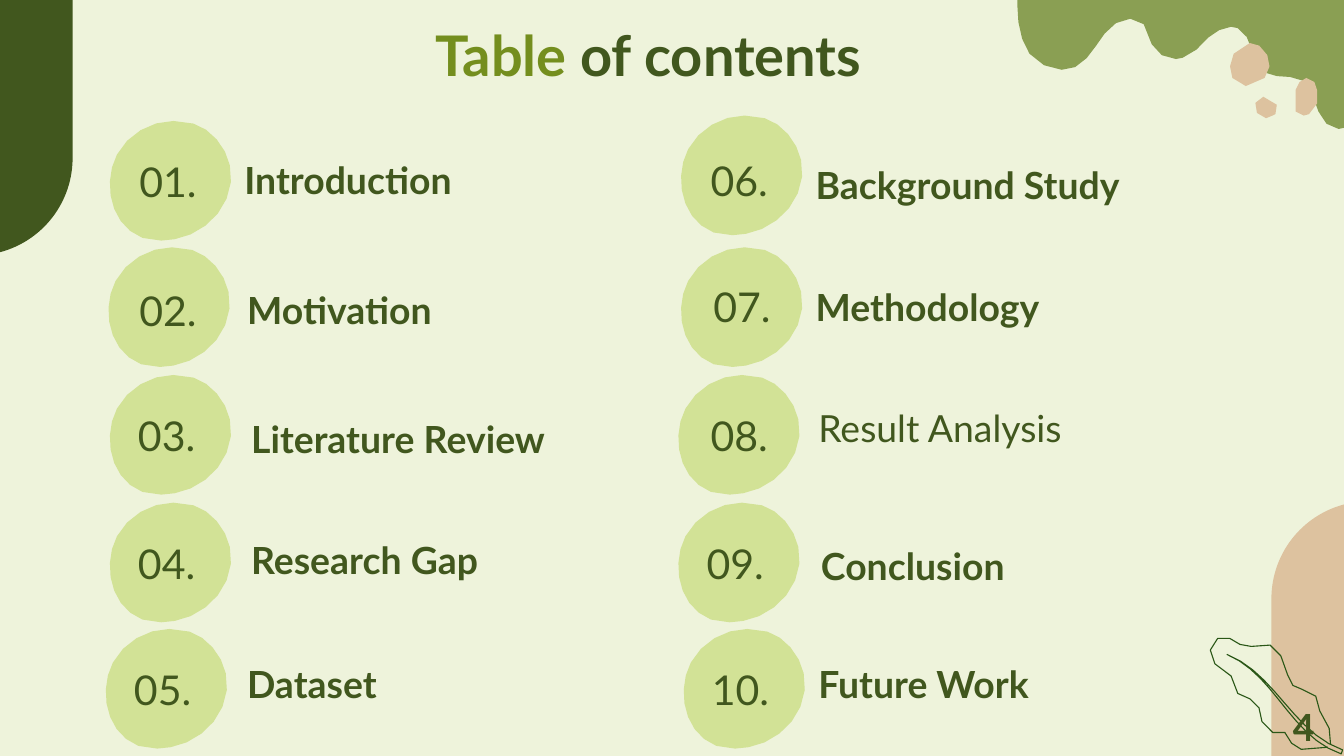
import math

import pptx
import pptx.util
import pptx.dml.color
import pptx.enum.shapes
import pptx.enum.text

RGBColor = pptx.dml.color.RGBColor
ANCHOR = pptx.enum.text.MSO_ANCHOR
ALIGN = pptx.enum.text.PP_ALIGN

CREAM = RGBColor(0xEE, 0xF3, 0xDB)
DARK_GREEN = RGBColor(0x41, 0x57, 0x1E)
TITLE_GREEN = RGBColor(0x74, 0x8E, 0x1E)
OLIVE = RGBColor(0x8A, 0x9F, 0x53)
LIME = RGBColor(0xD2, 0xE2, 0x96)
SAND = RGBColor(0xDD, 0xC2, 0x9F)
LEAF_GREEN = RGBColor(0x2A, 0x57, 0x17)

FONT = "Lato"
EMU_PER_PX = 9144  # 100 px to the inch
CURVE_STEP = 12  # px of curve for each straight piece
ROW_PITCH = 94.5

# Outlines: a start point, then line ends (2 numbers) or Bezier curves (6 numbers).
BLOB = [(53, 0), (36, 0, 19, 10, 11, 25), (0, 46, 6, 78, 30, 87), (34, 88, 39, 89, 44, 89),
        (47, 89, 51, 89, 54, 88), (66, 86, 78, 79, 86, 69), (94, 59, 98, 45, 95, 33),
        (92, 19, 81, 6, 68, 2), (63, 0, 58, 0, 53, 0)]
WAVE = [(0, 0), (0, 4), (0, 16, 2, 30, 9, 40), (15, 47, 24, 52, 33, 52),
        (36, 52, 40, 52, 43, 50), (53, 45, 58, 34, 65, 25), (69, 19, 77, 14, 84, 14),
        (88, 14, 91, 15, 94, 18), (97, 22, 98, 28, 100, 33), (103, 40, 111, 44, 118, 44),
        (120, 44, 122, 44, 123, 43), (131, 41, 136, 34, 142, 28), (147, 24, 153, 20, 159, 20),
        (160, 20, 162, 21, 164, 21), (176, 27, 173, 46, 184, 54), (192, 59, 204, 55, 212, 60),
        (219, 65, 221, 75, 224, 83), (226, 90, 233, 96, 239, 96), (241, 96, 242, 96, 244, 95),
        (244, 0)]
STONES = [
    [(215, 58), (213, 58, 211, 59, 210, 61), (208, 63, 207, 65, 207, 67),
     (206, 72, 204, 79, 207, 83), (209, 85, 211, 86, 213, 86), (214, 86, 216, 86, 217, 85),
     (220, 84, 222, 81, 223, 77), (224, 74, 224, 70, 223, 67), (222, 65, 222, 63, 221, 61),
     (220, 60, 218, 59, 215, 58)],
    [(183, 72), (173, 73, 176, 88, 185, 88), (187, 88, 188, 87, 190, 86),
     (191, 86, 192, 85, 192, 85), (193, 83, 193, 80, 193, 78), (191, 75, 187, 72, 183, 72)],
    [(173, 32), (168, 32, 163, 36, 161, 40), (158, 46, 157, 53, 160, 58),
     (161, 63, 165, 64, 170, 64), (175, 64, 181, 62, 184, 58), (188, 53, 189, 46, 186, 41),
     (184, 38, 182, 36, 180, 34), (178, 34, 177, 33, 173, 32)],
]
LEAF_EDGE = [(91, 81), (92, 77, 92, 73, 90, 69), (89, 64, 84, 61, 83, 56),
             (82, 53, 82, 48, 80, 45), (77, 42, 74, 41, 70, 40), (68, 39, 65, 39, 63, 37),
             (61, 35, 60, 32, 59, 29), (58, 24, 57, 19, 54, 15), (53, 11, 50, 8, 46, 7),
             (41, 5, 37, 7, 32, 8), (25, 9, 22, 5, 16, 2), (13, 0, 10, 0, 7, 2),
             (0, 6, 0, 15, 5, 21), (8, 25, 14, 26, 17, 30), (19, 34, 19, 39, 22, 43),
             (25, 47, 27, 47, 31, 47), (39, 48, 38, 58, 40, 64), (41, 68, 44, 71, 48, 72),
             (51, 72, 54, 71, 57, 72), (60, 73, 60, 77, 62, 80), (67, 89, 80, 82, 89, 83)]
LEAF_VEIN = [(14, 14), (50, 29, 61, 75, 99, 88), (101, 89, 102, 86, 100, 85),
             (63, 72, 50, 28, 14, 14)]

# Number, label, blob shift in its row, number offset, label box (both from the blob)
LEFT_ENTRIES = [
    ("01.", "Introduction", (0, 0), (11, 16), (96, 12, 331, 58)),
    ("02.", "Motivation", (-1, 0), (12, 18), (99, 15, 331, 58)),
    ("03.", "Literature Review", (0, 0), (10, 16), (101, 16, 331, 58)),
    ("04.", "Research Gap", (0, 0), (10, 16), (101, 16, 287, 46)),
    ("05.", "Dataset", (-3, 0), (10, 16), (101, 14, 276, 46)),
]
RIGHT_ENTRIES = [
    ("06.", "Background Study", (0, -4), (11, 19), (96, 20, 331, 58)),
    ("07.", "Methodology", (0, 0), (13, 15), (96, 13, 331, 58)),
    ("08.", "Result Analysis", (-2, 0), (13, 16), (100, 8, 331, 58)),
    ("09.", "Conclusion", (-2, 0), (10, 16), (102, 20, 263, 41)),
    ("10.", "Future Work", (2, 0), (10, 16), (96, 14, 250, 46)),
]


def px(length):
    return pptx.util.Emu(round(length * EMU_PER_PX))


def paint(shape, fill=None, line=None):
    shape.shadow.inherit = False
    if fill is None:
        shape.fill.background()
    else:
        shape.fill.solid()
        shape.fill.fore_color.rgb = fill
    if line is None:
        shape.line.fill.background()
    else:
        shape.line.color.rgb = line
        shape.line.width = pptx.util.Pt(0.59)


def trace(outline):
    """Turn lines and Bezier curves into points, more of them on longer curves."""
    points = [outline[0]]
    for segment in outline[1:]:
        if len(segment) == 2:
            points.append(segment)
            continue
        controls = (points[-1], segment[:2], segment[2:4], segment[4:])
        length = sum(math.dist(a, b) for a, b in zip(controls, controls[1:]))
        steps = max(1, round(length / CURVE_STEP))
        for step in range(1, steps + 1):
            t = step / steps
            weights = ((1 - t) ** 3, 3 * t * (1 - t) ** 2, 3 * t * t * (1 - t), t ** 3)
            points.append(tuple(sum(w * c[axis] for w, c in zip(weights, controls))
                                for axis in (0, 1)))
    return points


def add_outline(shapes, outline, left, top, close=True, **colors):
    points = [(px(left + x), px(top + y)) for x, y in trace(outline)]
    builder = shapes.build_freeform(*points[0], scale=1.0)
    builder.add_line_segments(points[1:], close=close)
    paint(builder.convert_to_shape(), **colors)


def add_text(page, box, *spans, size=20, bold=False, align=ALIGN.LEFT, anchor=ANCHOR.TOP):
    """Each span is a (text, color) pair."""
    frame = page.shapes.add_textbox(*map(px, box)).text_frame
    frame.word_wrap = True
    frame.vertical_anchor = anchor
    frame.margin_left = frame.margin_right = frame.margin_top = frame.margin_bottom = px(10)
    para = frame.paragraphs[0]
    para.alignment = align
    for text, color in spans:
        span = para.add_run()
        span.text = text
        span.font.name = FONT
        span.font.size = pptx.util.Pt(size)
        span.font.bold = bold
        span.font.color.rgb = color


def add_side_tab(page, box, color, rotation=0):
    tab = page.shapes.add_shape(
        pptx.enum.shapes.MSO_SHAPE.ROUND_2_SAME_RECTANGLE, *map(px, box))
    tab.adjustments[0] = 0.49
    tab.adjustments[1] = 0
    tab.rotation = rotation
    paint(tab, fill=color)


def add_wave_corner(page, left, top):
    add_outline(page.shapes, WAVE, left, top, fill=OLIVE)
    for stone in STONES:
        add_outline(page.shapes, stone, left, top, fill=SAND)


def add_leaf(page, left, top):
    leaf = page.shapes.add_group_shape()
    add_outline(leaf.shapes, LEAF_EDGE, left, top, close=False, line=LEAF_GREEN)
    add_outline(leaf.shapes, LEAF_VEIN, left, top, line=LEAF_GREEN)


def add_contents_column(page, left, top, entries):
    for row, (number, label, shift, offset, label_box) in enumerate(entries):
        x = left + shift[0]
        y = top + round(row * ROW_PITCH) + shift[1]
        add_outline(page.shapes, BLOB, x, y, fill=LIME)
        add_text(page, (x + offset[0], y + offset[1], 76, 58), (number, DARK_GREEN),
                 size=22, align=ALIGN.CENTER, anchor=ANCHOR.MIDDLE)
        dx, dy, width, height = label_box
        add_text(page, (x + dx, y + dy, width, height), (label, DARK_GREEN),
                 bold=label != "Result Analysis",
                 anchor=ANCHOR.BOTTOM if row < 3 else ANCHOR.TOP)


def main():
    deck = pptx.Presentation()
    deck.slide_width, deck.slide_height = px(1000), px(562.5)
    page = deck.slides.add_slide(deck.slide_layouts[6])
    page.background.fill.solid()
    page.background.fill.fore_color.rgb = CREAM

    # Decoration
    add_side_tab(page, (-94, -2, 148, 192), DARK_GREEN, rotation=180)
    add_side_tab(page, (946, 373, 148, 192), SAND)
    add_wave_corner(page, 757, 0)
    add_leaf(page, 899, 473)

    # Title, contents and page number
    add_text(page, (61, 5, 843, 63), ("Table", TITLE_GREEN), (" of contents", DARK_GREEN),
             size=30, bold=True, align=ALIGN.CENTER)
    add_contents_column(page, 76, 90, LEFT_ENTRIES)
    add_contents_column(page, 501, 90, RIGHT_ENTRIES)
    add_text(page, (928, 514, 60, 43), ("4", DARK_GREEN), bold=True, align=ALIGN.RIGHT)

    deck.save("out.pptx")


if __name__ == "__main__":
    main()
